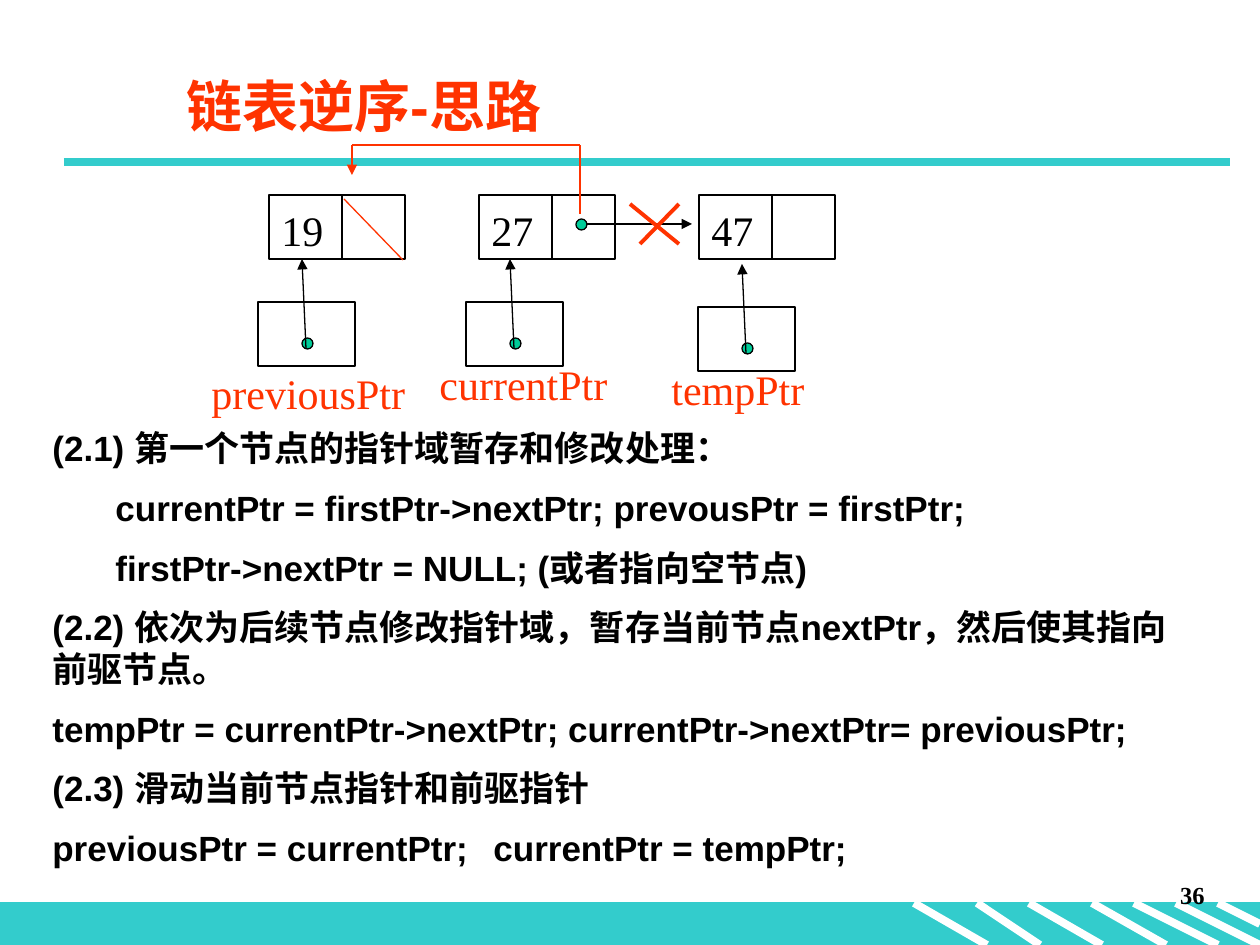
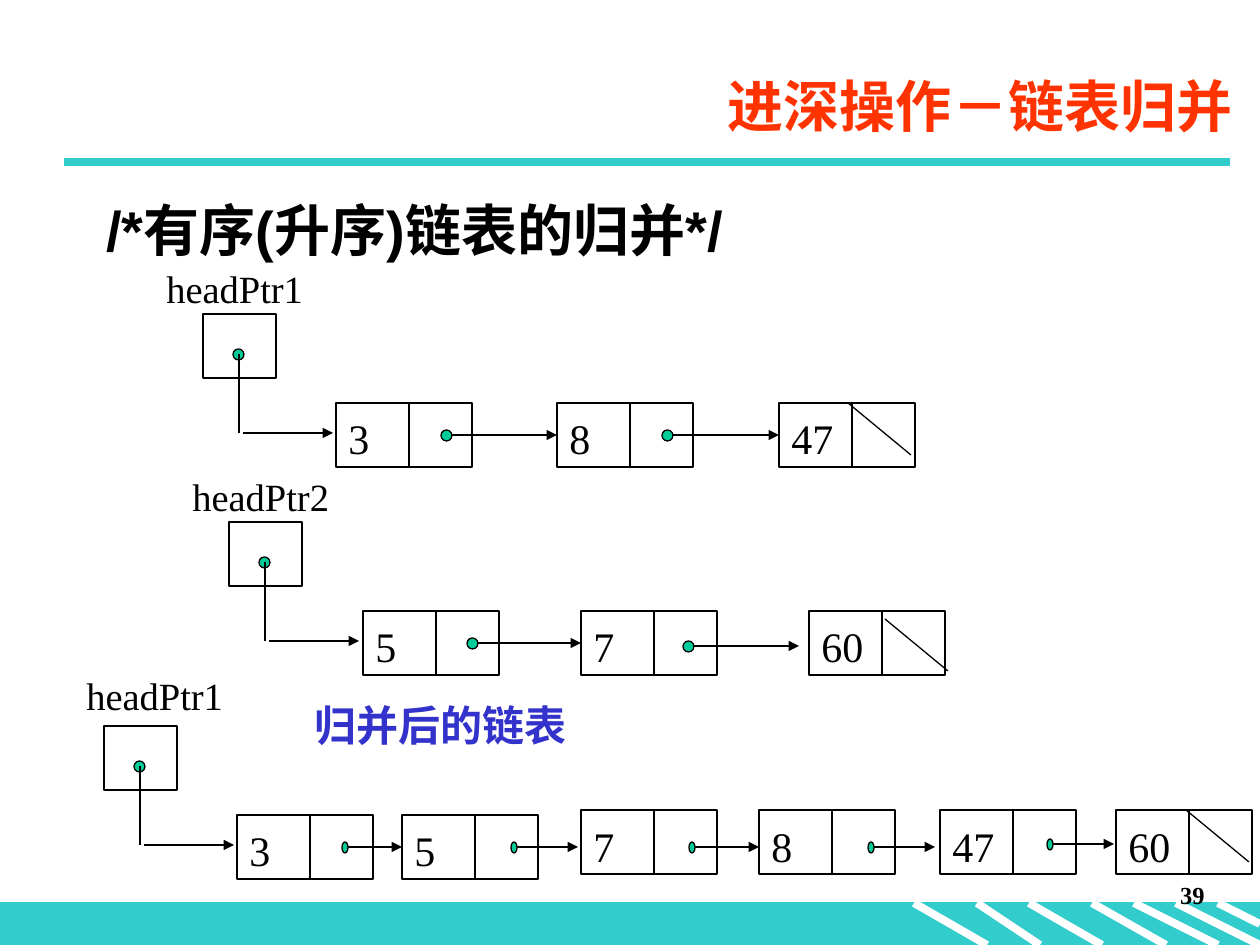
"""Build two slides on reversing and merging linked lists."""
from itertools import pairwise

from lxml.etree import SubElement
from pptx import Presentation
from pptx.dml.color import RGBColor
from pptx.enum.shapes import MSO_CONNECTOR, MSO_SHAPE
from pptx.enum.text import MSO_ANCHOR, PP_ALIGN
from pptx.oxml.ns import qn
from pptx.util import Emu, Pt

BLACK, WHITE, RED, BLUE = "000000", "FFFFFF", "FF3300", "3333CC"
TEAL, GREEN = "33CCCC", "00CC99"
SERIF, SANS, CJK = "Times New Roman", "Arial", "Noto Sans CJK SC"

STRIPES = [
    (914, 903, 987, 945), (977, 903, 1040, 945), (1029, 903, 1102, 945),
    (1092, 903, 1166, 945), (1134, 903, 1218, 945), (1176, 903, 1260, 945),
    (1218, 903, 1260, 924),
]

REVERSE_STEPS = [
    "(2.1) 第一个节点的指针域暂存和修改处理：",
    "\tcurrentPtr = firstPtr->nextPtr; prevousPtr = firstPtr;",
    "\tfirstPtr->nextPtr = NULL; (或者指向空节点)",
    "(2.2) 依次为后续节点修改指针域，暂存当前节点nextPtr，然后使其指向前驱节点。",
    "tempPtr = currentPtr->nextPtr; currentPtr->nextPtr= previousPtr;",
    "(2.3) 滑动当前节点指针和前驱指针",
    "previousPtr = currentPtr;\tcurrentPtr = tempPtr;",
]
REVERSE_NODES = [("19", 269, 195), ("27", 479, 195), ("47", 699, 195)]
POINTERS = [
    ("previousPtr", 258, 302, -59, 56),
    ("currentPtr", 466, 302, -39, 47),
    ("tempPtr", 698, 307, -39, 47),
]
BACK_LINK = [(580, 214), (580, 145), (352, 145), (352, 175)]
CROSS = [(630, 204, 679, 244), (679, 204, 640, 244)]

LISTS = [
    dict(label="headPtr1", head=(203, 314), label_shift=(-49, -59), dot_width=11,
         nodes=[("3", 336, 403), ("8", 557, 403), ("47", 779, 403)],
         links=[(441, 435, 557), (662, 435, 779)], null=(848, 403)),
    dict(label="headPtr2", head=(229, 522), label_shift=(-49, -59), dot_width=11,
         nodes=[("5", 363, 611), ("7", 581, 611), ("60", 809, 611)],
         links=[(467, 643, 581), (683, 646, 799)], null=(885, 619)),
    dict(label="headPtr1", head=(104, 726), label_shift=(-30, -64), dot_width=6,
         nodes=[("3", 237, 815), ("5", 402, 815), ("7", 581, 810),
                ("8", 759, 810), ("47", 940, 810), ("60", 1116, 810)],
         links=[(342, 847, 402), (511, 847, 578), (689, 847, 759),
                (868, 847, 935), (1047, 844, 1114)], null=(1186, 810)),
]

NODE_WIDTH, BOX_HEIGHT, DIVIDER = 136, 64, 73
POINTER_WIDTH, HEAD_WIDTH = 97, 73


def px(length):
    return Emu(round(length * 914400 / 126))


def color(value):
    return RGBColor.from_string(value)


def add_text(slide, text, left, top, width, height, *, size=24, font=SERIF, ink=BLACK,
             bold=False, align=PP_ALIGN.LEFT, anchor=MSO_ANCHOR.TOP, inset=10,
             line=None, before=0):
    frame = slide.shapes.add_textbox(px(left), px(top), px(width), px(height)).text_frame
    frame.word_wrap = True
    frame.vertical_anchor = anchor
    frame.margin_top = px(inset)
    lines = [text] if isinstance(text, str) else text
    for index, words in enumerate(lines):
        paragraph = frame.add_paragraph() if index else frame.paragraphs[0]
        paragraph.alignment = align
        paragraph.space_before = Pt(before if index else 0)
        if line:
            paragraph.line_spacing = Pt(line)
        run = paragraph.add_run()
        run.text = words
        run.font.size, run.font.bold, run.font.name = Pt(size), bold, font
        run.font.color.rgb = color(ink)
        SubElement(run.font._element, qn("a:ea"), typeface=CJK)


def add_shape(slide, preset, left, top, width, height, fill=None, outline=BLACK):
    shape = slide.shapes.add_shape(preset, px(left), px(top), px(width), px(height))
    shape.shadow.inherit = False
    if fill:
        shape.fill.solid()
        shape.fill.fore_color.rgb = color(fill)
    else:
        shape.fill.background()
    shape.line.color.rgb = color(outline)
    shape.line.width = Pt(0.75)
    return shape


def add_line(slide, x1, y1, x2, y2, ink=BLACK, weight=0.75, arrow=False):
    line = slide.shapes.add_connector(MSO_CONNECTOR.STRAIGHT, px(x1), px(y1), px(x2), px(y2))
    line.line.color.rgb = color(ink)
    line.line.width = Pt(weight)
    if arrow:
        SubElement(line.line._get_or_add_ln(), qn("a:tailEnd"), type="triangle")
    SubElement(line._element.spPr, qn("a:effectLst"))
    return line


def add_dot(slide, left, top, width=11):
    add_shape(slide, MSO_SHAPE.OVAL, left, top, width, 11, GREEN)


def add_node(slide, value, left, top):
    box = add_shape(slide, MSO_SHAPE.RECTANGLE, left, top, NODE_WIDTH, BOX_HEIGHT)
    add_text(slide, value, left, top, DIVIDER, BOX_HEIGHT)
    add_line(slide, left + DIVIDER, top, left + DIVIDER, top + BOX_HEIGHT - 1)
    return box


def add_link(slide, left, middle, tip, dot_width=11):
    arrow = add_line(slide, left + dot_width, middle, tip, middle, arrow=True)
    add_dot(slide, left, middle - 5, dot_width)
    return arrow


def add_base(deck, title, number, title_font, align):
    slide = deck.slides.add_slide(deck.slide_layouts[6])
    add_shape(slide, MSO_SHAPE.RECTANGLE, 0, 903, 1260, 42, TEAL, TEAL)
    for stripe in STRIPES:
        add_line(slide, *stripe, ink=WHITE, weight=4.5)
    add_line(slide, 64, 162, 1230, 162, ink=TEAL, weight=4.5)
    add_text(slide, number, 955, 872, 262, 63, size=14, bold=True,
             align=PP_ALIGN.RIGHT, inset=8)
    add_text(slide, title, 174, 55, 1071, 100, size=32, font=title_font, ink=RED,
             bold=True, align=align, anchor=MSO_ANCHOR.MIDDLE, inset=6)
    return slide


def add_pointer(slide, label, left, top, label_dx, label_dy):
    add_text(slide, label, left + label_dx, top + label_dy, 220, 63, ink=RED)
    add_shape(slide, MSO_SHAPE.RECTANGLE, left, top, POINTER_WIDTH, BOX_HEIGHT)
    add_dot(slide, left + 44, top + 36)
    add_line(slide, left + 48, top + 46, left + 44, top - 43, arrow=True)


def add_list(slide, label, head, label_shift, dot_width, nodes, links, null):
    left, top = head
    add_text(slide, label, left + label_shift[0], top + label_shift[1], 168, 59, size=22)
    add_shape(slide, MSO_SHAPE.RECTANGLE, left, top, HEAD_WIDTH, BOX_HEIGHT)
    add_dot(slide, left + 30, top + 35)
    add_line(slide, left + 36, top + 40, left + 36, top + 119)
    add_line(slide, left + 40, top + 119, left + 130, top + 119, arrow=True)
    boxes = [add_node(slide, *node) for node in nodes]
    for (dot, middle, tip), (_, x, y), box in zip(links, nodes[1:], boxes[1:]):
        arrow = add_link(slide, dot, middle, tip, dot_width)
        if tip == x and middle == y + BOX_HEIGHT // 2:
            arrow.end_connect(box, 1)
    add_line(slide, *null, null[0] + 63, null[1] + 52)


def build_reverse(deck):
    slide = add_base(deck, "链表逆序-思路", "36", SANS, PP_ALIGN.LEFT)
    for node in REVERSE_NODES:
        add_node(slide, *node)
    add_line(slide, 344, 199, 403, 260, ink=RED)
    add_link(slide, 576, 224, 692)
    for pointer in POINTERS:
        add_pointer(slide, *pointer)
    for start, end in pairwise(BACK_LINK):
        add_line(slide, *start, *end, ink=RED, arrow=end == BACK_LINK[-1])
    for stroke in CROSS:
        add_line(slide, *stroke, ink=RED, weight=2.25)
    add_text(slide, REVERSE_STEPS, 40, 417, 1152, 479, size=20, font=SANS, bold=True,
             line=24, before=10)


def build_merge(deck):
    slide = add_base(deck, "进深操作－链表归并", "39", CJK, PP_ALIGN.RIGHT)
    add_text(slide, "/*有序(升序)链表的归并*/", 94, 181, 1071, 90, size=32, font=SANS,
             bold=True, inset=6, line=43)
    for linked_list in LISTS:
        add_list(slide, **linked_list)
    add_text(slide, "归并后的链表", 302, 700, 615, 63, ink=BLUE, bold=True, inset=0)


def main():
    deck = Presentation()
    deck.slide_width, deck.slide_height = px(1260), px(945)
    build_reverse(deck)
    build_merge(deck)
    deck.save("out.pptx")


if __name__ == "__main__":
    main()
